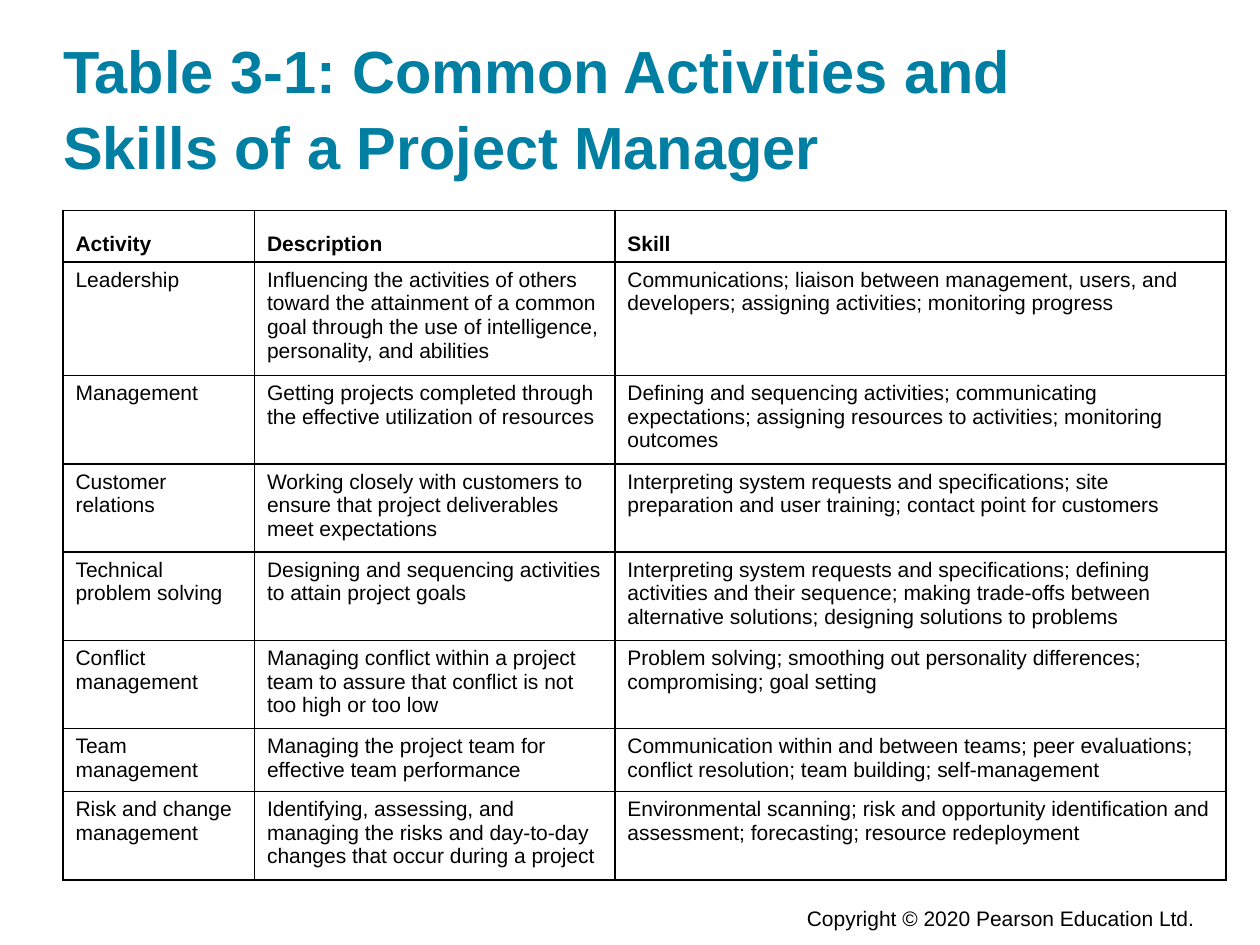
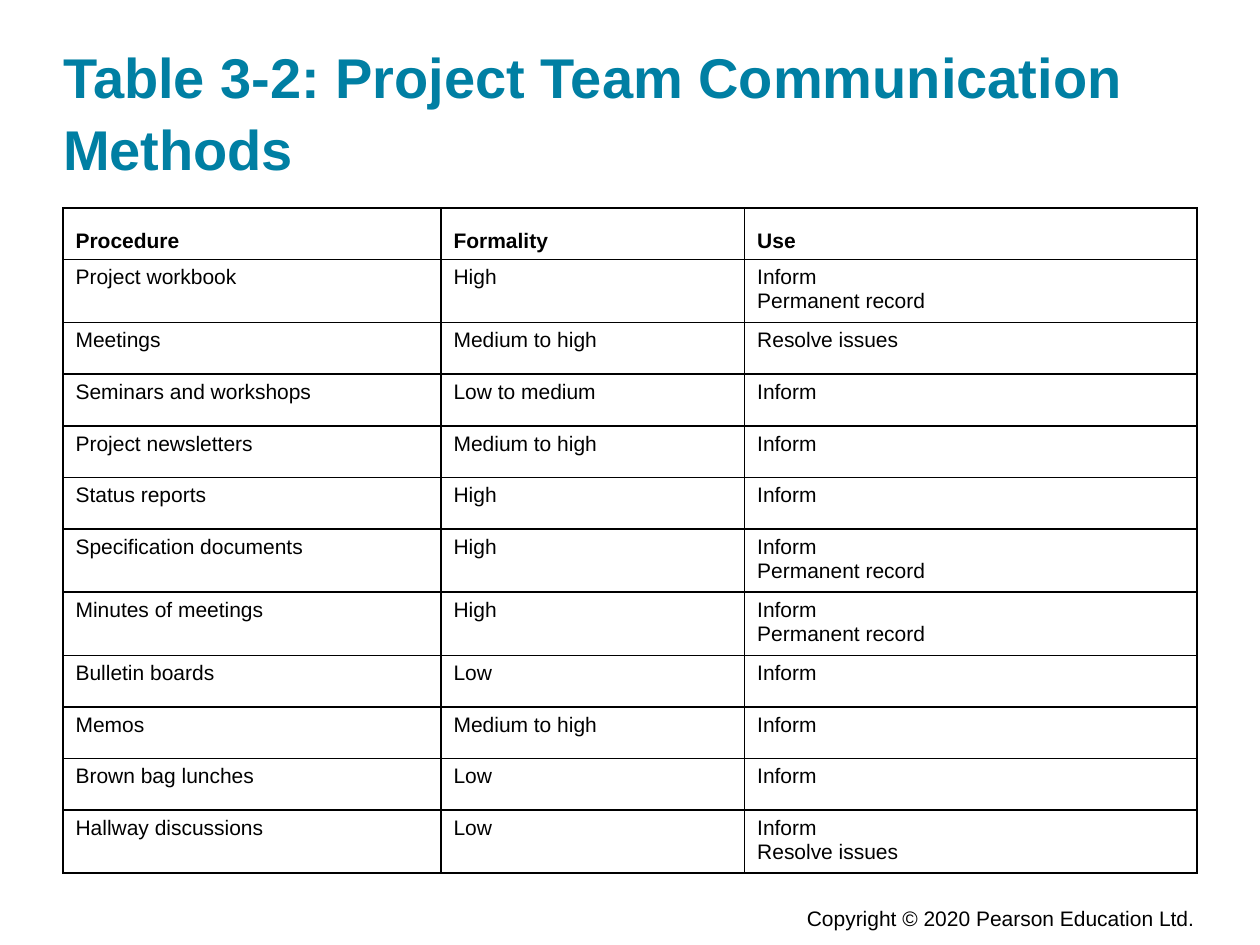
from lxml.etree import SubElement
from pptx import Presentation
from pptx.dml.color import RGBColor
from pptx.enum.text import MSO_ANCHOR as Anchor, MSO_AUTO_SIZE as AutoSize, PP_ALIGN as Align
from pptx.oxml.ns import qn
from pptx.util import Inches, Pt

# Content: "lines" holds the number of text lines in each table row
COPYRIGHT = "Copyright © 2020 Pearson Education Ltd."

ACTIVITIES = [
    ("Activity", "Description", "Skill"),
    ("Leadership",
     "Influencing the activities of others toward the attainment of a common goal "
     "through the use of intelligence, personality, and abilities",
     "Communications; liaison between management, users, and developers; "
     "assigning activities; monitoring progress"),
    ("Management",
     "Getting projects completed through the effective utilization of resources",
     "Defining and sequencing activities; communicating expectations; "
     "assigning resources to activities; monitoring outcomes"),
    ("Customer relations",
     "Working closely with customers to ensure that project deliverables meet expectations",
     "Interpreting system requests and specifications; site preparation and user training; "
     "contact point for customers"),
    ("Technical problem solving",
     "Designing and sequencing activities to attain project goals",
     "Interpreting system requests and specifications; defining activities and their sequence; "
     "making trade-offs between alternative solutions; designing solutions to problems"),
    ("Conflict management",
     "Managing conflict within a project team to assure that conflict is not too high or too low",
     "Problem solving; smoothing out personality differences; compromising; goal setting"),
    ("Team management",
     "Managing the project team for effective team performance",
     "Communication within and between teams; peer evaluations; conflict resolution; "
     "team building; self-management"),
    ("Risk and change management",
     "Identifying, assessing, and managing the risks and day-to-day changes "
     "that occur during a project",
     "Environmental scanning; risk and opportunity identification and assessment; "
     "forecasting; resource redeployment"),
]

METHODS = [
    ("Procedure", "Formality", "Use"),
    ("Project workbook", "High", "Inform\nPermanent record"),
    ("Meetings", "Medium to high", "Resolve issues"),
    ("Seminars and workshops", "Low to medium", "Inform"),
    ("Project newsletters", "Medium to high", "Inform"),
    ("Status reports", "High", "Inform"),
    ("Specification documents", "High", "Inform\nPermanent record"),
    ("Minutes of meetings", "High", "Inform\nPermanent record"),
    ("Bulletin boards", "Low", "Inform"),
    ("Memos", "Medium to high", "Inform"),
    ("Brown bag lunches", "Low", "Inform"),
    ("Hallway discussions", "Low", "Inform\nResolve issues"),
]

SLIDES = [
    dict(title="Table 3-1: Common Activities and Skills of a Project Manager",
         title_size=34, title_width=8.86, top=1.67, columns=(1.52, 2.86, 4.85),
         rows=ACTIVITIES, lines=(1, 4, 3, 3, 3, 3, 2, 3)),
    dict(title="Table 3-2: Project Team Communication Methods",
         title_size=32, title_width=8.83, top=1.65, columns=(3, 2.41, 3.59),
         rows=METHODS, lines=[1 + use.count("\n") for _, _, use in METHODS]),
]

# Shared look
FONT = "Arial"
TEAL = RGBColor(0x00, 0x7F, 0xA3)
BLACK = RGBColor(0x00, 0x00, 0x00)
LEFT = 0.5
LINE_HEIGHT, ROW_PADDING, MIN_ROW = 0.19, 0.09, 0.41


def write(frame, text, size=12, color=BLACK, bold=False, align=Align.LEFT, spacing=None):
    frame.text = text
    frame.word_wrap = True
    for paragraph in frame.paragraphs:
        paragraph.alignment = align
        paragraph.line_spacing = spacing
        font = paragraph.font
        font.name, font.size, font.bold = FONT, Pt(size), bold
        font.color.rgb = color


def add_borders(cell):
    properties = cell._tc.get_or_add_tcPr()
    for side in ("a:lnL", "a:lnR", "a:lnT", "a:lnB"):
        line = SubElement(properties, qn(side), w=str(Pt(1)))
        fill = SubElement(line, qn("a:solidFill"))
        SubElement(fill, qn("a:srgbClr"), val=str(BLACK))


def add_title(slide, text, size, width):
    title = slide.shapes.title
    title.left, title.top = Inches(LEFT), Inches(0.24)
    title.width, title.height = Inches(width), Inches(1.2)
    frame = title.text_frame
    frame.margin_left = frame.margin_right = frame.margin_top = frame.margin_bottom = 0
    frame.vertical_anchor = Anchor.BOTTOM
    frame.auto_size = AutoSize.NONE
    write(frame, text, size=size, color=TEAL, bold=True, spacing=1.07)


def add_footer(slide):
    footer = slide.shapes.add_textbox(Inches(3.03), Inches(7.09), Inches(6.55), Inches(0.4))
    footer.text_frame.vertical_anchor = Anchor.MIDDLE
    write(footer.text_frame, COPYRIGHT, align=Align.RIGHT)


def add_grid(slide, rows, columns, lines, top):
    heights = [max(MIN_ROW, ROW_PADDING + LINE_HEIGHT * count) for count in lines]
    table = slide.shapes.add_table(len(rows), len(columns), Inches(LEFT), Inches(top),
                                   Inches(sum(columns)), Inches(sum(heights))).table
    table.first_row = table.horz_banding = False
    for column, width in zip(table.columns, columns):
        column.width = Inches(width)
    for r, (texts, height) in enumerate(zip(rows, heights)):
        table.rows[r].height = Inches(height)
        for c, text in enumerate(texts):
            cell = table.cell(r, c)
            add_borders(cell)
            cell.fill.background()
            cell.vertical_anchor = Anchor.TOP if r else Anchor.BOTTOM
            write(cell.text_frame, text, bold=r == 0)


def main():
    deck = Presentation()
    deck.slide_width, deck.slide_height = Inches(10), Inches(7.5)
    title_only = deck.slide_layouts[5]
    for content in SLIDES:
        slide = deck.slides.add_slide(title_only)
        add_footer(slide)
        add_title(slide, content["title"], content["title_size"], content["title_width"])
        add_grid(slide, content["rows"], content["columns"], content["lines"], content["top"])
    deck.save("out.pptx")


if __name__ == "__main__":
    main()
